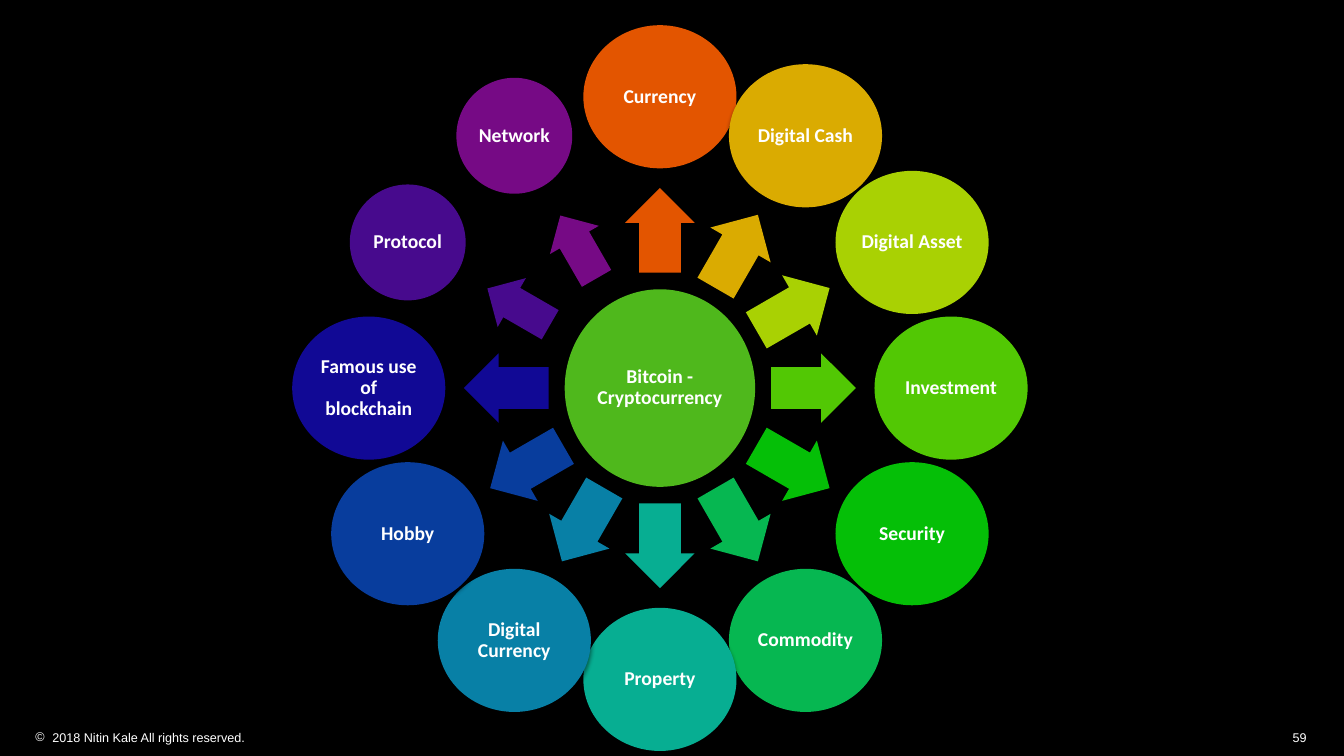
from math import cos, radians, sin

from lxml.etree import SubElement
from pptx import Presentation
from pptx.dml.color import RGBColor
from pptx.enum.shapes import MSO_SHAPE
from pptx.enum.text import MSO_ANCHOR, PP_ALIGN
from pptx.oxml.ns import qn
from pptx.util import Inches, Pt

ROWS = 75  # square grid cells down the slide's height
CENTER = (65.5, 38.5)
HUB = ("Bitcoin - Cryptocurrency", "4FB81C", (18.9, 19.6))
DISC_ORBIT = (28.9, 28.9)
# arrow orbit, arrow size, disc size
LARGE = ((15.25, 15.65), (8.4, 6.9), (15.2, 14.2))
SMALL = ((16.17, 16.17), (7.2, 5.6), (11.5, 11.5))
VIEWS = [
    ("Currency", "E35500", LARGE),
    ("Digital Cash", "DAAB01", LARGE),
    ("Digital Asset", "A9D103", LARGE),
    ("Investment", "52C804", LARGE),
    ("Security", "05BF07", LARGE),
    ("Commodity", "06B751", LARGE),
    ("Property", "07AE92", LARGE),
    ("Digital Currency", "0880A6", LARGE),
    ("Hobby", "083D9D", LARGE),
    ("Famous use of blockchain", "110995", LARGE),
    ("Protocol", "470A8D", SMALL),
    ("Network", "760A85", SMALL),
]


def paint(color, hex_color):
    """Fill or font: set its solid colour."""
    color.rgb = RGBColor.from_string(hex_color)


def add_run(p, text, size, font, bold=False):
    r = p.add_run()
    r.text = text
    r.font.size, r.font.name, r.font.bold = Pt(size), font, bold
    paint(r.font.color, "FFFFFF")


def set_margins(tf, margin):
    tf.margin_left = tf.margin_top = tf.margin_right = tf.margin_bottom = margin


def add_shadow(sp):
    sp.shadow.inherit = False
    effects = sp._element.spPr.find(qn("a:effectLst"))
    shadow = SubElement(effects, qn("a:outerShdw"), blurRad=str(Pt(3)),
                        dist=str(Pt(2.4)), dir="5400000", rotWithShape="0")
    color = SubElement(shadow, qn("a:srgbClr"), val="000000")
    SubElement(color, qn("a:alpha"), val="45000")


def add_centered(s, cell, kind, center, size, hex_color):
    """Add a filled shape around a centre given in grid cells."""
    (x, y), (w, h) = center, size
    sp = s.shapes.add_shape(kind, round((x - w / 2) * cell), round((y - h / 2) * cell),
                            round(w * cell), round(h * cell))
    sp.fill.solid()
    paint(sp.fill.fore_color, hex_color)
    sp.line.fill.background()
    add_shadow(sp)
    return sp


def add_disc(s, cell, center, size, text, hex_color):
    sp = add_centered(s, cell, MSO_SHAPE.OVAL, center, size, hex_color)
    tf = sp.text_frame
    tf.word_wrap, tf.vertical_anchor = True, MSO_ANCHOR.MIDDLE
    set_margins(tf, Inches(0.02))
    p = tf.paragraphs[0]
    p.alignment, p.line_spacing = PP_ALIGN.CENTER, 0.9
    add_run(p, text, 14, "Calibri", bold=True)


def add_arrow(s, cell, center, size, angle, hex_color):
    sp = add_centered(s, cell, MSO_SHAPE.RIGHT_ARROW, center, size, hex_color)
    sp.adjustments[0], sp.adjustments[1] = 0.6, 0.5
    sp.rotation = angle % 360


def on_orbit(angle, orbit):
    x, y = CENTER
    rx, ry = orbit
    return x + rx * cos(radians(angle)), y + ry * sin(radians(angle))


def add_footer(s, cell, left, width, text, align, bullet=None):
    box = s.shapes.add_textbox(round(left * cell), round(72.4 * cell),
                               round(width * cell), round(1.5 * cell))
    tf = box.text_frame
    tf.word_wrap = False
    set_margins(tf, 0)
    p = tf.paragraphs[0]
    p.alignment = align
    if bullet:
        pPr = p._p.get_or_add_pPr()
        indent = Inches(0.17)
        pPr.set("marL", str(indent))
        pPr.set("indent", str(-indent))
        color = SubElement(pPr, qn("a:buClr"))
        SubElement(color, qn("a:srgbClr"), val="FFFFFF")
        SubElement(pPr, qn("a:buFont"), typeface="Arial")
        SubElement(pPr, qn("a:buChar"), char=bullet)
    add_run(p, text, 9, "Arial")


def main():
    prs = Presentation()
    prs.slide_width, prs.slide_height = Inches(13.34), Inches(7.5)
    cell = prs.slide_height / ROWS
    s = prs.slides.add_slide(prs.slide_layouts[6])
    s.background.fill.solid()
    paint(s.background.fill.fore_color, "000000")

    add_footer(s, cell, 3.5, 21.1, "2018 Nitin Kale All rights reserved.",
               PP_ALIGN.LEFT, bullet="©")
    add_footer(s, cell, 128.2, 1.5, "59", PP_ALIGN.RIGHT)

    text, hex_color, size = HUB
    add_disc(s, cell, CENTER, size, text, hex_color)
    step = 360 / len(VIEWS)
    for i, (text, hex_color, (arrow_orbit, arrow_size, disc_size)) in enumerate(VIEWS):
        angle = i * step - 90
        add_arrow(s, cell, on_orbit(angle, arrow_orbit), arrow_size, angle, hex_color)
        add_disc(s, cell, on_orbit(angle, DISC_ORBIT), disc_size, text, hex_color)
    prs.save("out.pptx")


if __name__ == "__main__":
    main()
